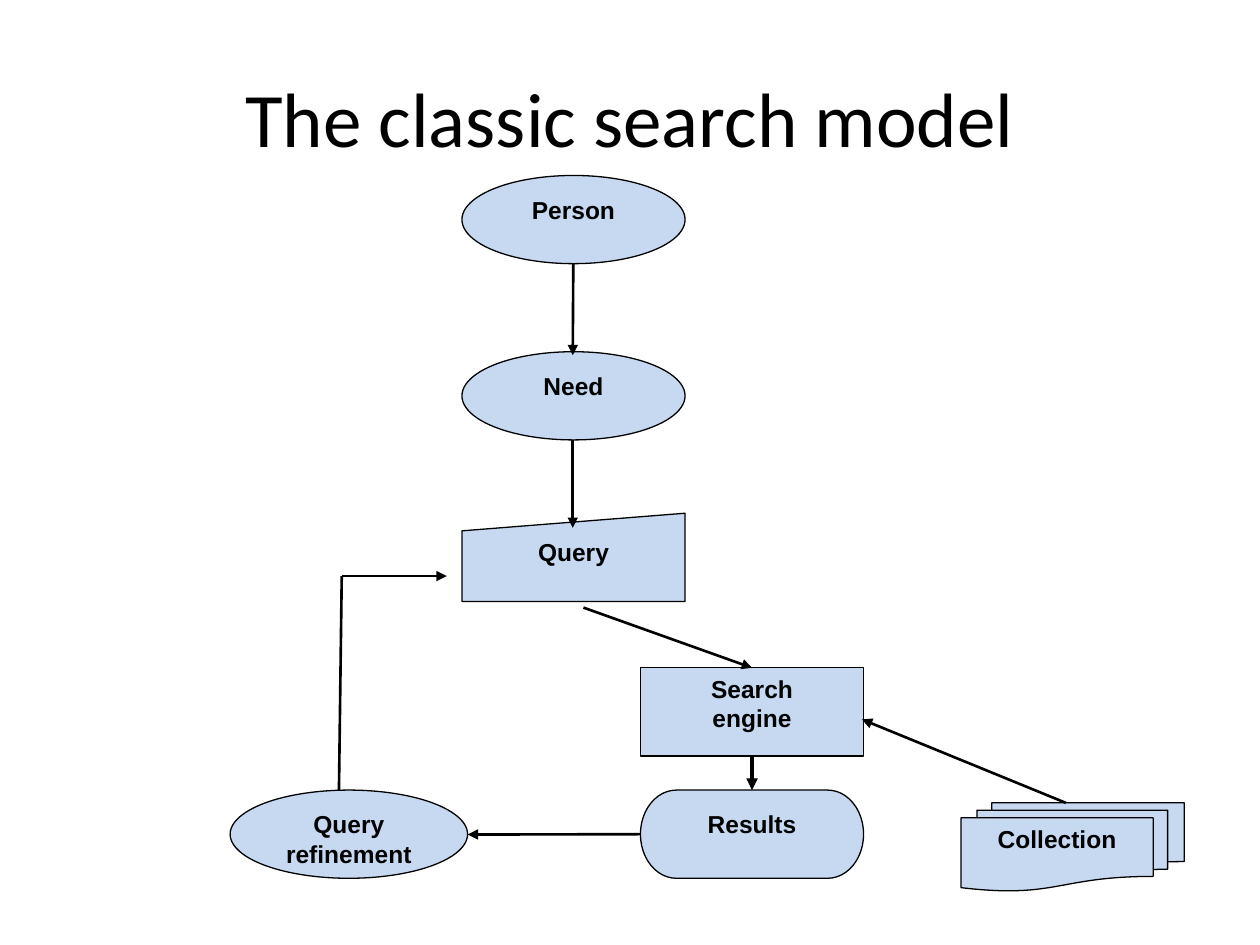
from lxml import etree
from pptx import Presentation
from pptx.dml.color import RGBColor
from pptx.enum import shapes, text
from pptx.oxml import ns
from pptx.util import Pt

COLORS = {"ink": "000000", "node": "C6D9F1"}
INK = RGBColor.from_string(COLORS["ink"])
NODE = RGBColor.from_string(COLORS["node"])
KIND = shapes.MSO_SHAPE

deck = Presentation()
deck.slide_width, deck.slide_height = Pt(720), Pt(540)
slide = deck.slides.add_slide(deck.slide_layouts[6])


def write(frame, words, font_name, size, bold, anchor):
    frame.text = words
    frame.word_wrap = True
    frame.vertical_anchor = anchor
    for paragraph in frame.paragraphs:
        paragraph.alignment = text.PP_ALIGN.CENTER
        for run in paragraph.runs:
            run.font.name = font_name
            run.font.size = Pt(size)
            run.font.bold = bold
            run.font.color.rgb = INK


title = slide.shapes.add_textbox(Pt(36), Pt(21.6), Pt(648), Pt(90))
write(title.text_frame, "The classic search model", "Calibri", 44, False,
      text.MSO_ANCHOR.MIDDLE)

# Steps of the search: label, shape, left, top, width
STEP_WIDTH, STEP_HEIGHT = 127.5, 50.4
QUERY_LEFT, ENGINE_LEFT = 264, 366
LAST_ROW = 451.5
steps = [
    ("Collection", KIND.FLOWCHART_MULTIDOCUMENT, 549.2, 458.8, STEP_WIDTH),
    ("Person", KIND.OVAL, QUERY_LEFT, 100.3, STEP_WIDTH),
    ("Need", KIND.OVAL, QUERY_LEFT, 201, STEP_WIDTH),
    ("Query", KIND.FLOWCHART_MANUAL_INPUT, QUERY_LEFT, 293.3, STEP_WIDTH),
    ("Results", KIND.FLOWCHART_TERMINATOR, ENGINE_LEFT, LAST_ROW, STEP_WIDTH),
    ("Search\nengine", KIND.FLOWCHART_PROCESS, ENGINE_LEFT, 381.6, STEP_WIDTH),
    ("Query\vrefinement", KIND.OVAL, 131.5, LAST_ROW, 135.7),
]
nodes = {}
for label, kind, left, top, width in steps:
    node = slide.shapes.add_shape(kind, Pt(left), Pt(top), Pt(width), Pt(STEP_HEIGHT))
    node.shadow.inherit = False
    node.fill.solid()
    node.fill.fore_color.rgb = NODE
    node.line.color.rgb = INK
    node.line.width = Pt(0.75)
    write(node.text_frame, label, "Arial", 14, True, text.MSO_ANCHOR.TOP)
    nodes[label] = node

# Flow: start, end, line width, arrowhead, joined start and end (node, side)
TOP, LEFT, BOTTOM = 0, 1, 2
engine, results = nodes["Search\nengine"], nodes["Results"]
flows = [
    ((327.6, 150.7), (327.3, 203), 1.5, True, None, None),
    ((327.3, 251.4), (327.3, 301.7), 1.5, True, None, None),
    ((333.4, 347.2), (429.8, 381.6), 1.5, True, None, (engine, TOP)),
    ((609.1, 458.8), (492.5, 411.1), 1.5, True, None, None),
    ((366, 476.3), (267.2, 476.9), 1.5, True, (results, LEFT), None),
    ((193.7, 451.5), (195.3, 329.2), 1.5, False, None, None),
    ((195.3, 329.2), (255.3, 329.2), 1.5, True, None, None),
    ((429.8, 432), (429.8, 451.5), 2.25, True, (engine, BOTTOM), (results, TOP)),
]
for start, end, weight, has_head, start_join, end_join in flows:
    flow = slide.shapes.add_connector(
        shapes.MSO_CONNECTOR.STRAIGHT, *(Pt(value) for value in start + end))
    if start_join:
        flow.begin_connect(*start_join)
    if end_join:
        flow.end_connect(*end_join)
    flow.line.color.rgb = INK
    flow.line.width = Pt(weight)
    if has_head:
        etree.SubElement(flow.line._get_or_add_ln(), ns.qn("a:tailEnd"), type="triangle")
    etree.SubElement(flow._element.spPr, ns.qn("a:effectLst"))

deck.save("out.pptx")
